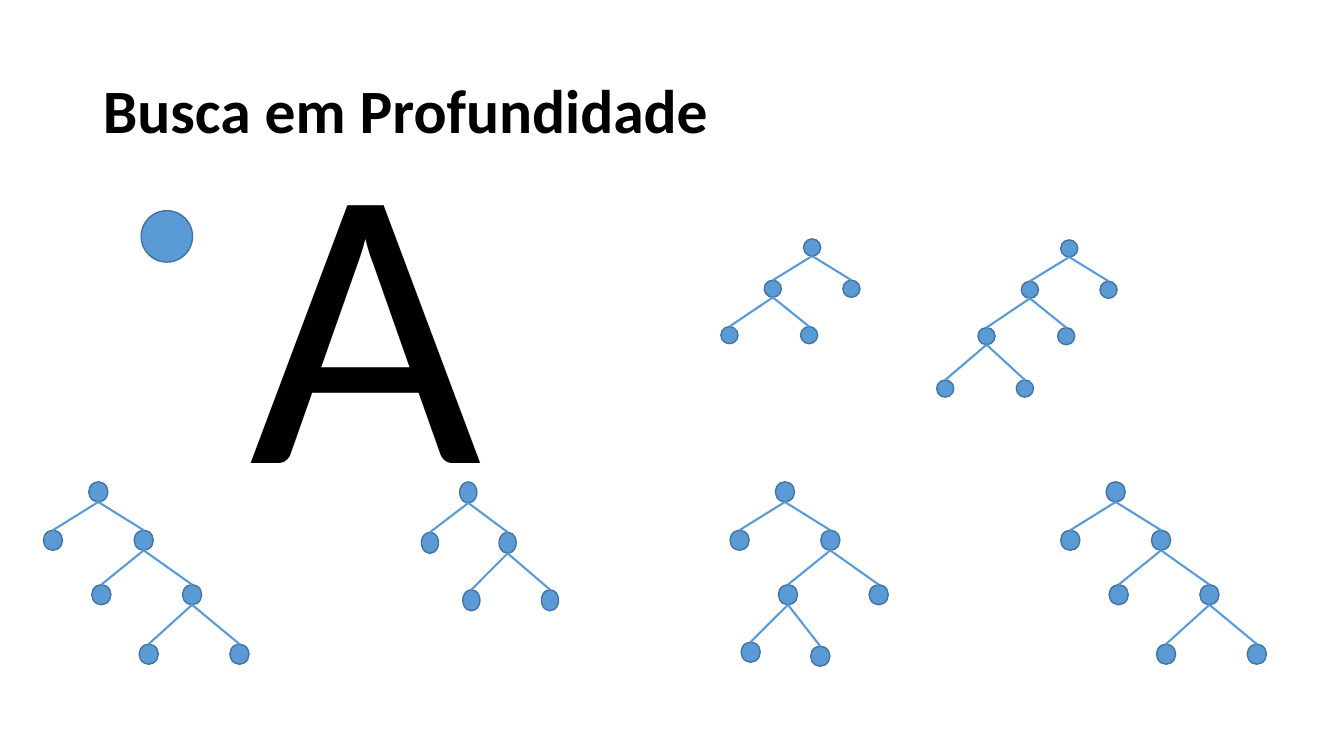
"""Build the depth-first search slide with its growing binary trees."""
from dataclasses import dataclass

from lxml.etree import SubElement
from pptx import Presentation
from pptx.dml.color import RGBColor
from pptx.enum.shapes import MSO_CONNECTOR, MSO_SHAPE
from pptx.enum.text import MSO_ANCHOR, MSO_AUTO_SIZE, PP_ALIGN
from pptx.oxml.ns import qn
from pptx.util import Inches, Pt


@dataclass(frozen=True)
class Theme:
    font: str = "Calibri"
    text: RGBColor = RGBColor(0x00, 0x00, 0x00)
    node: RGBColor = RGBColor(0x5B, 0x9B, 0xD5)
    outline: RGBColor = RGBColor(0x43, 0x73, 0x9E)
    title_size: Pt = Pt(44)
    letter_size: Pt = Pt(287)
    outline_width: Pt = Pt(1)
    edge_width: Pt = Pt(1.5)


theme = Theme()


def add_node(shapes, left, top, width, height):
    node = shapes.add_shape(
        MSO_SHAPE.OVAL, Inches(left), Inches(top), Inches(width), Inches(height)
    )
    node.shadow.inherit = False
    node.fill.solid()
    node.fill.fore_color.rgb = theme.node
    node.line.color.rgb = theme.outline
    node.line.width = theme.outline_width
    return node


def add_text(paragraph, text, size, bold=False):
    run = paragraph.add_run()
    run.text = text
    run.font.name = theme.font
    run.font.size = size
    run.font.bold = bold
    run.font.color.rgb = theme.text


presentation = Presentation()
presentation.slide_width = Inches(13.33)
presentation.slide_height = Inches(7.5)
slide = presentation.slides.add_slide(presentation.slide_layouts[5])

title = slide.shapes.title
title.left, title.top = Inches(0.92), Inches(0.4)
title.width, title.height = Inches(11.5), Inches(1.45)
title.text_frame.vertical_anchor = MSO_ANCHOR.MIDDLE
title.text_frame.auto_size = MSO_AUTO_SIZE.NONE
paragraph = title.text_frame.paragraphs[0]
paragraph.alignment = PP_ALIGN.LEFT
paragraph.line_spacing = 0.9
add_text(paragraph, "Busca em Profundidade", theme.title_size, bold=True)

add_node(slide.shapes, 1.4, 2.09, 0.51, 0.51)

# Each node is (x offset from root, y offset from root, parent index).
root = [(0, 0, None)]
left_tree = root + [(-0.39, 0.41, 0), (0.39, 0.41, 0), (-0.82, 0.87, 1), (-0.03, 0.87, 1)]
left_deep_tree = left_tree + [(-1.23, 1.39, 3), (-0.44, 1.39, 3)]
right_tree = root + [(-0.38, 0.5, 0), (0.39, 0.5, 0), (0.03, 1.07, 2), (0.81, 1.07, 2)]
wide_tree = root + [(-0.45, 0.48, 0), (0.45, 0.48, 0), (0.03, 1.02, 2), (0.93, 1.02, 2)]
right_deep_tree = wide_tree + [(0.5, 1.61, 4), (1.4, 1.61, 4)]
zigzag_tree = wide_tree + [(-0.34, 1.59, 3), (0.35, 1.63, 3)]

trees = [
    (7.97, 2.37, 0.17, 0.17, left_tree),
    (10.52, 2.38, 0.17, 0.17, left_deep_tree),
    (4.56, 4.78, 0.17, 0.21, right_tree),
    (0.88, 4.78, 0.19, 0.2, right_deep_tree),
    (7.69, 4.78, 0.19, 0.2, zigzag_tree),
    (10.97, 4.78, 0.19, 0.2, right_deep_tree),
]

for root_left, root_top, width, height, nodes in trees:
    tree = slide.shapes.add_group_shape().shapes
    ovals = [
        add_node(tree, root_left + x, root_top + y, width, height) for x, y, _ in nodes
    ]
    for child, (_, _, parent_index) in zip(ovals[1:], nodes[1:]):
        parent = ovals[parent_index]
        edge = tree.add_connector(
            MSO_CONNECTOR.STRAIGHT,
            parent.left + parent.width // 2,
            parent.top + parent.height,
            child.left + child.width // 2,
            child.top,
        )
        edge.line.color.rgb = theme.node
        edge.line.width = theme.edge_width
        SubElement(edge.line._get_or_add_ln().getparent(), qn("a:effectLst"))

letter = slide.shapes.add_textbox(Inches(2.38), Inches(0.56), Inches(2.53), Inches(4.93))
letter.text_frame.word_wrap = False
letter.text_frame.auto_size = MSO_AUTO_SIZE.SHAPE_TO_FIT_TEXT
add_text(letter.text_frame.paragraphs[0], "A", theme.letter_size)

presentation.save("out.pptx")
